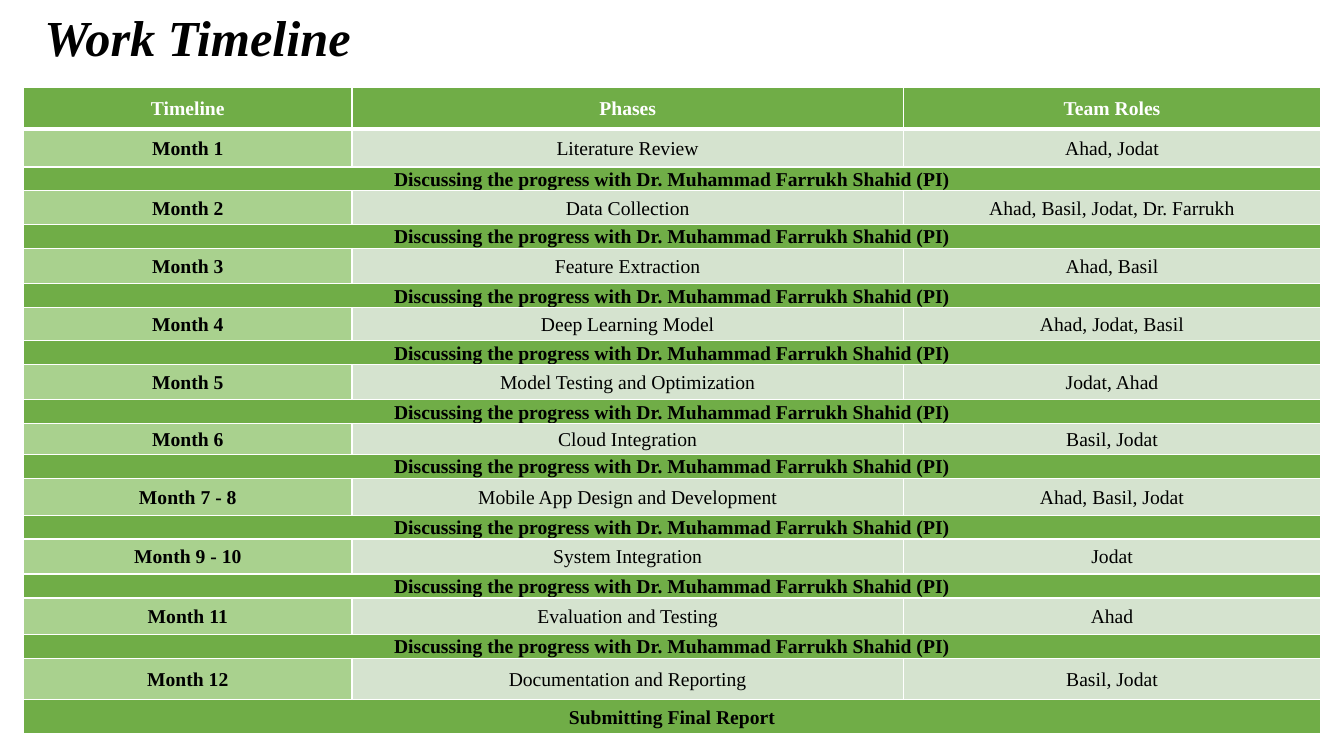
import lxml.etree
import pptx
import pptx.dml.color
import pptx.enum.text
import pptx.oxml.ns
import pptx.util

Pt = pptx.util.Pt
CENTER = pptx.enum.text.PP_ALIGN.CENTER
LEFT = pptx.enum.text.PP_ALIGN.LEFT
MIDDLE = pptx.enum.text.MSO_ANCHOR.MIDDLE

COLORS = {
    "black": "000000",
    "white": "FFFFFF",
    "band": "70AD47",
    "month": "A9D18E",
    "detail": "D5E3CF",
}
HEADINGS = ["Timeline", "Phases", "Team Roles"]
REVIEW = "Discussing the progress with Dr. Muhammad Farrukh Shahid (PI)"
FINAL = "Submitting Final Report"
HEADING_HEIGHT, REVIEW_HEIGHT, FINAL_HEIGHT = 29.5, 17.1, 24.5
COLUMN_WIDTHS = [234.7, 393.8, 298.1]
# month, phase, team, row height
PHASES = [
    ("Month 1", "Literature Review", "Ahad, Jodat", 27),
    ("Month 2", "Data Collection", "Ahad, Basil, Jodat, Dr. Farrukh", 24),
    ("Month 3", "Feature Extraction", "Ahad, Basil", 25.2),
    ("Month 4", "Deep Learning Model", "Ahad, Jodat, Basil", 23.8),
    ("Month 5", "Model Testing and Optimization", "Jodat, Ahad", 25),
    ("Month 6", "Cloud Integration", "Basil, Jodat", 22),
    ("Month 7 - 8", "Mobile App Design and Development", "Ahad, Basil, Jodat", 26.2),
    ("Month 9 - 10", "System Integration", "Jodat", 25),
    ("Month 11", "Evaluation and Testing", "Ahad", 26),
    ("Month 12", "Documentation and Reporting", "Basil, Jodat", 29.5),
]


def set_all(target, values):
    for name, value in values.items():
        setattr(target, name, value)


class TimelineSlide:
    def __init__(self, deck, font):
        self.slide = deck.slides.add_slide(deck.slide_layouts[5])
        self.font = font

    def add_text(self, frame, text, color, para_format, font_format):
        para = frame.paragraphs[0]
        set_all(para, para_format)
        span = para.add_run()
        span.text = text
        set_all(span.font, {"name": self.font, **font_format})
        span.font.color.rgb = pptx.dml.color.RGBColor.from_string(COLORS[color])

    def title(self, text, left, top, width, height):
        box = self.slide.shapes.title
        set_all(box, {"left": Pt(left), "top": Pt(top),
                      "width": Pt(width), "height": Pt(height)})
        set_all(box.text_frame, {"word_wrap": True, "vertical_anchor": MIDDLE})
        self.add_text(box.text_frame, text, "black",
                      {"alignment": LEFT, "line_spacing": 0.9},
                      {"size": Pt(36), "bold": True, "italic": True})

    def table(self, left, top, widths, heights):
        frame = self.slide.shapes.add_table(
            len(heights), len(widths), Pt(left), Pt(top),
            Pt(sum(widths)), Pt(sum(heights)))
        table = frame.table
        table.horz_banding = False
        for column, width in zip(table.columns, widths):
            column.width = Pt(width)
        for row, height in zip(table.rows, heights):
            row.height = Pt(height)
        return table

    def style_cell(self, cell, fill, top_line=1, bottom_line=1):
        set_all(cell, {"margin_left": Pt(5), "margin_right": Pt(5),
                       "margin_top": 0, "margin_bottom": 0,
                       "vertical_anchor": MIDDLE})
        cell.fill.solid()
        cell.fill.fore_color.rgb = pptx.dml.color.RGBColor.from_string(COLORS[fill])
        properties = cell._tc.get_or_add_tcPr()
        lines = {"a:lnL": 1, "a:lnR": 1, "a:lnT": top_line, "a:lnB": bottom_line}
        qn = pptx.oxml.ns.qn
        for index, (tag, weight) in enumerate(lines.items()):
            line = lxml.etree.Element(qn(tag), w=str(Pt(weight)))
            solid = lxml.etree.SubElement(line, qn("a:solidFill"))
            lxml.etree.SubElement(solid, qn("a:srgbClr"), val=COLORS["white"])
            properties.insert(index, line)

    def cell_text(self, cell, text, bold, color="black"):
        self.add_text(cell.text_frame, text, color,
                      {"alignment": CENTER, "line_spacing": 1.07, "space_after": Pt(8)},
                      {"size": Pt(14), "bold": bold})

    def heading_row(self, table, texts):
        for cell, text in zip(table.rows[0].cells, texts):
            self.style_cell(cell, "band", bottom_line=3)
            self.cell_text(cell, text, True, "white")

    def phase_row(self, table, row, texts):
        for column, text in enumerate(texts):
            cell = table.cell(row, column)
            self.style_cell(cell, "detail" if column else "month",
                            top_line=3 if row == 1 else 1)
            self.cell_text(cell, text, column == 0)

    def band_row(self, table, row, text):
        """Fill a row that spans every column."""
        cells = list(table.rows[row].cells)
        for cell in cells:
            self.style_cell(cell, "band")
        cells[0].merge(cells[-1])
        self.cell_text(cells[0], text, True)


def main():
    deck = pptx.Presentation()
    set_all(deck, {"slide_width": Pt(960), "slide_height": Pt(540)})
    page = TimelineSlide(deck, "Times New Roman")
    page.title("Work Timeline", 24.5, 0.7, 293, 55.4)

    bands = [(REVIEW, REVIEW_HEIGHT)] * (len(PHASES) - 1) + [(FINAL, FINAL_HEIGHT)]
    heights = [HEADING_HEIGHT]
    for phase, band in zip(PHASES, bands):
        heights += [phase[-1], band[-1]]

    table = page.table(16.8, 62.8, COLUMN_WIDTHS, heights)
    page.heading_row(table, HEADINGS)
    for index, (phase, band) in enumerate(zip(PHASES, bands)):
        row = 2 * index + 1
        page.phase_row(table, row, phase[:-1])
        page.band_row(table, row + 1, band[0])
    deck.save("out.pptx")


if __name__ == "__main__":
    main()
